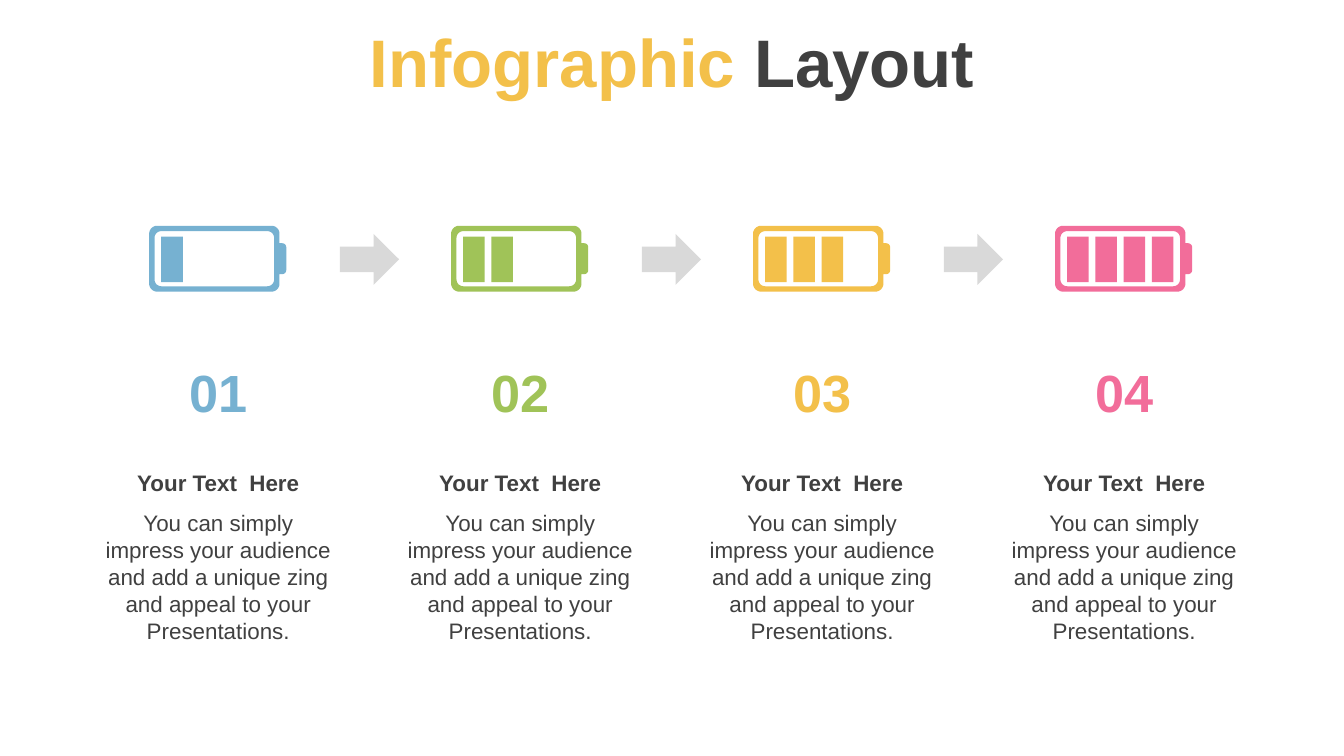
from dataclasses import dataclass
from math import cos, pi, sin

from pptx import Presentation
from pptx.dml.color import RGBColor
from pptx.enum.shapes import MSO_SHAPE
from pptx.enum.text import MSO_ANCHOR, MSO_AUTO_SIZE, PP_ALIGN
from pptx.util import Inches, Pt


@dataclass(frozen=True)
class Theme:
    font: str = "Arial"
    dark: str = "404040"
    arrow: str = "D9D9D9"
    accent: str = "F3C04A"
    steps: tuple = ("76B1D1", "A0C358", "F3C04A", "F26D9A")
    title_size: int = 36
    number_size: int = 28
    body_size: int = 12


THEME = Theme()
HEADING = "Your Text  Here"
BODY = ("You can simply impress your audience and add a unique zing "
        "and appeal to your Presentations.")
SLIDE_WIDTH = 10
SLIDE_HEIGHT = SLIDE_WIDTH * 9 / 16
FIRST_LEFT, LAST_LEFT = 0.66, 7.4
COLUMN_TOP, COLUMN_WIDTH = 1.68, 1.93
COLUMN_PITCH = (LAST_LEFT - FIRST_LEFT) / (len(THEME.steps) - 1)


def style_run(run, size, color, bold=False):
    run.font.name = THEME.font
    run.font.size = Pt(size)
    run.font.bold = bold
    run.font.color.rgb = RGBColor.from_string(color)


def paint(shape, color):
    """Give a shape a plain fill with no outline or shadow."""
    shape.shadow.inherit = False
    shape.fill.solid()
    shape.fill.fore_color.rgb = RGBColor.from_string(color)
    shape.line.fill.background()


def add_label(slide, box, text, size, color, bold=False, anchor=MSO_ANCHOR.TOP):
    label = slide.shapes.add_textbox(*(Inches(length) for length in box))
    frame = label.text_frame
    frame.word_wrap = True
    frame.auto_size = MSO_AUTO_SIZE.SHAPE_TO_FIT_TEXT
    frame.vertical_anchor = anchor
    frame.text = text
    paragraph = frame.paragraphs[0]
    paragraph.alignment = PP_ALIGN.CENTER
    style_run(paragraph.runs[0], size, color, bold)


def rounded_outline(left, top, right, bottom, left_radius, right_radius):
    """Return the points of a rectangle whose left and right corners are rounded."""
    corners = ((right, bottom, -1, -1, right_radius), (left, bottom, 1, -1, left_radius),
               (left, top, 1, 1, left_radius), (right, top, -1, 1, right_radius))
    points = []
    for quarter, (x, y, inward_x, inward_y, radius) in enumerate(corners):
        steps = 8 if radius else 0
        for step in range(steps + 1):
            angle = (quarter + step / max(steps, 1)) * pi / 2
            points.append((Inches(x + radius * (inward_x + cos(angle))),
                           Inches(y + radius * (inward_y + sin(angle)))))
    return points


def add_battery(slide, left, top, charge, color):
    """Draw the casing, its hollow, the terminal and one cell per charge as one outline."""
    outlines = [
        rounded_outline(left, top, left + 0.97, top + 0.49, 0.06, 0.06),
        rounded_outline(left + 0.04, top + 0.04, left + 0.93, top + 0.45, 0.05, 0.05),
        rounded_outline(left + 0.97, top + 0.13, left + 1.02, top + 0.36, 0, 0.03),
    ]
    for cell in range(charge):
        cell_left = left + 0.09 + 0.21 * cell
        outlines.append(rounded_outline(
            cell_left, top + 0.08, cell_left + 0.16, top + 0.42, 0, 0))
    builder = slide.shapes.build_freeform(*outlines[0][0])
    for index, outline in enumerate(outlines):
        if index:
            builder.move_to(*outline[0])
        builder.add_line_segments(outline[1:], close=True)
    paint(builder.convert_to_shape(), color)


def add_step(slide, left, top, width, number, color):
    add_battery(slide, left + 0.45, top, number, color)
    add_label(slide, (left + (width - 0.66) / 2, top + 0.95, 0.66, 0.57),
              f"{number:02}", THEME.number_size, color, True, MSO_ANCHOR.MIDDLE)
    add_label(slide, (left, top + 1.76, width, 0.3),
              HEADING, THEME.body_size, THEME.dark, True)
    add_label(slide, (left, top + 2.06, width, 1.11),
              BODY, THEME.body_size, THEME.dark)


def add_arrow(slide, left, top):
    arrow = slide.shapes.add_shape(
        MSO_SHAPE.RIGHT_ARROW, Inches(left), Inches(top), Inches(0.44), Inches(0.38))
    paint(arrow, THEME.arrow)


def add_title(slide, left, top, width, height):
    title = slide.shapes.title
    title.left, title.top = Inches(left), Inches(top)
    title.width, title.height = Inches(width), Inches(height)
    frame = title.text_frame
    frame.auto_size = MSO_AUTO_SIZE.NONE
    frame.vertical_anchor = MSO_ANCHOR.MIDDLE
    paragraph = frame.paragraphs[0]
    paragraph.alignment = PP_ALIGN.CENTER
    for text, color in (("Infographic ", THEME.accent), ("Layout", THEME.dark)):
        run = paragraph.add_run()
        run.text = text
        style_run(run, THEME.title_size, color, True)


def main():
    presentation = Presentation()
    presentation.slide_width = Inches(SLIDE_WIDTH)
    presentation.slide_height = Inches(SLIDE_HEIGHT)
    slide = presentation.slides.add_slide(presentation.slide_layouts[5])
    add_title(slide, 0, 0.03, SLIDE_WIDTH, 0.85)
    for index, color in enumerate(THEME.steps):
        left = FIRST_LEFT + index * COLUMN_PITCH
        add_step(slide, left, COLUMN_TOP, COLUMN_WIDTH, index + 1, color)
        if index < len(THEME.steps) - 1:
            add_arrow(slide, left + 1.87, COLUMN_TOP + 0.06)
    presentation.save("out.pptx")


if __name__ == "__main__":
    main()
